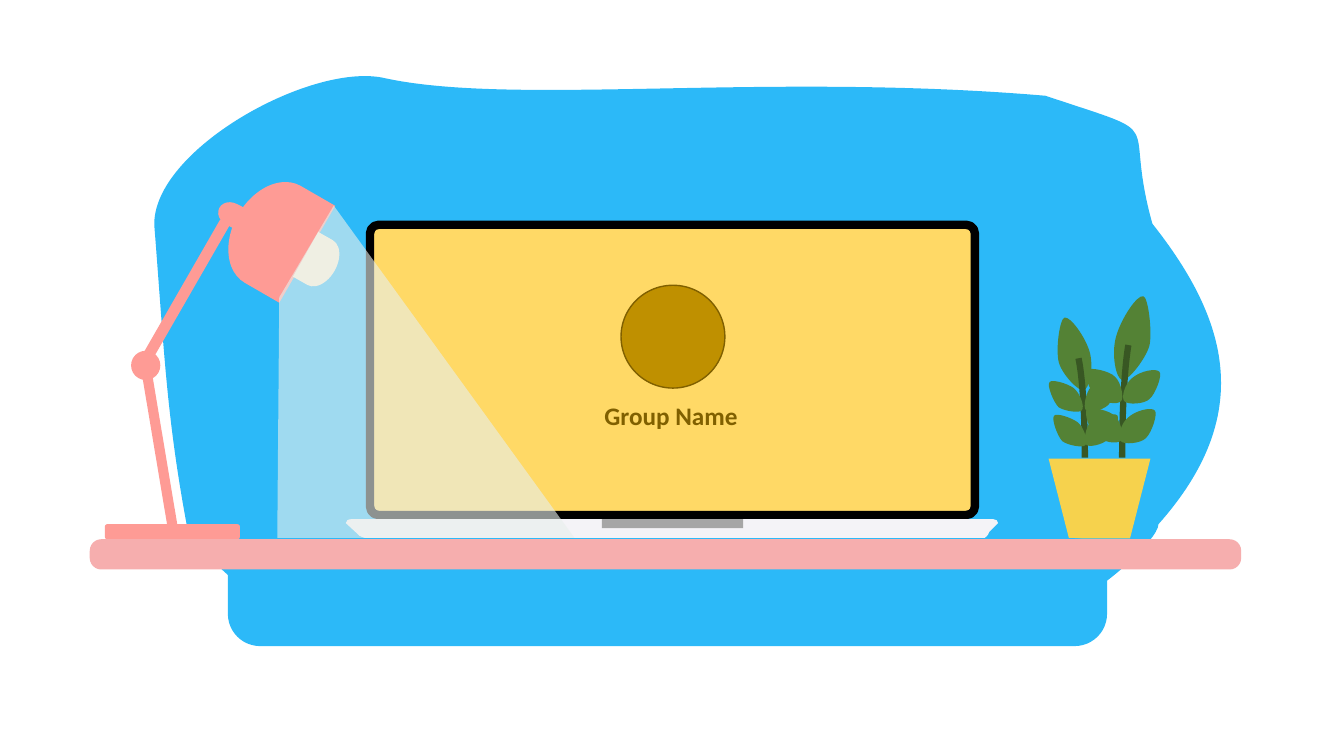
from math import cos, radians, sin

from lxml import etree
from pptx import Presentation
from pptx.dml.color import RGBColor
from pptx.enum.shapes import MSO_SHAPE as Preset
from pptx.enum.text import MSO_AUTO_SIZE as AutoSize, PP_ALIGN as Align
from pptx.oxml.ns import qn
from pptx.util import Inches, Pt

WHITE = RGBColor(0xFF, 0xFF, 0xFF)
SKY = RGBColor(0x2C, 0xB9, 0xF8)
SCREEN = RGBColor(0xFF, 0xD9, 0x66)
BLACK = RGBColor(0x00, 0x00, 0x00)
LAPTOP = RGBColor(0xF4, 0xF3, 0xF7)
NOTCH = RGBColor(0xA6, 0xA6, 0xA6)
LEAF = RGBColor(0x54, 0x82, 0x35)
STEM = RGBColor(0x38, 0x57, 0x23)
POT = RGBColor(0xF6, 0xD2, 0x4D)
CORAL = RGBColor(0xFE, 0x9B, 0x95)
BULB = RGBColor(0xFC, 0xF1, 0xD7)
LIGHT = RGBColor(0xE8, 0xEF, 0xEC)
GOLD = RGBColor(0xBF, 0x90, 0x00)
BROWN = RGBColor(0x80, 0x60, 0x00)
DESK = RGBColor(0xF6, 0xAE, 0xAE)

GROUP_LABEL = "Group Name"

BLOB = [
    (1.53, 2.23),
    (1.52, 1.49, 3.06, 0.63, 3.79, 0.77),
    (5.08, 1.06, 7.55, 0.71, 10.37, 0.95),
    (11.65, 1.38, 11.12, 1.11, 11.43, 2.22),
    (12.19, 3.18, 12.45, 4.12, 11.49, 5.2),
    (11.49, 5.36, 10.86, 5.91, 10.71, 5.91),
    (2.64, 5.91),
    (2.49, 5.91, 2.17, 5.69, 1.86, 5.25),
    (1.65, 4.13, 1.63, 3.49, 1.53, 2.23),
]
LAPTOP_BASE = [
    (3.43, 5.19),
    (3.43, 5.17, 3.45, 5.15, 3.49, 5.15),
    (9.85, 5.15),
    (9.88, 5.15, 9.9, 5.17, 9.9, 5.19),
    (9.81, 5.28),
    (9.81, 5.3, 9.77, 5.35, 9.73, 5.35),
    (3.68, 5.35),
    (3.65, 5.35, 3.55, 5.32, 3.55, 5.3),
    (3.43, 5.19),
]
BEAM = [(2.77, 2.95), (3.31, 2.04), (5.7, 5.34), (2.75, 5.34), (2.77, 2.95)]

SPRIGS = [
    {
        "tip": ([(10.5, 3.59), (10.47, 3.46, 10.51, 3.16, 10.56, 3.15),
                 (10.62, 3.14, 10.77, 3.35, 10.81, 3.5),
                 (10.85, 3.66, 10.8, 3.86, 10.75, 3.87),
                 (10.7, 3.89, 10.53, 3.71, 10.5, 3.59)], (10.49, 3.14, 0.32, 0.75), 345.2),
        "stem": (10.54, 3.45, 0.22, 2.18),
        "sweep": (163.64, 0),
        "side_leaves": [
            ([(10.82, 3.84), (10.87, 3.8, 11.05, 3.75, 11.08, 3.78),
              (11.11, 3.81, 11.05, 3.95, 10.99, 4.02),
              (10.92, 4.08, 10.79, 4.1, 10.77, 4.07),
              (10.74, 4.04, 10.77, 3.89, 10.82, 3.84)], (10.8, 3.7, 0.24, 0.43), 46.5, (0, 0.34), 0),
            ([(10.5, 4.04), (10.45, 3.99, 10.38, 3.82, 10.41, 3.79),
              (10.43, 3.76, 10.58, 3.8, 10.65, 3.85),
              (10.72, 3.91, 10.76, 4.04, 10.73, 4.07),
              (10.71, 4.1, 10.56, 4.08, 10.5, 4.04)], (10.45, 3.72, 0.24, 0.43), 309.5, (0.04, 0.34), 2.2),
        ],
    },
    {
        "tip": ([(11.4, 3.43), (11.43, 3.3, 11.39, 2.95, 11.34, 2.94),
                 (11.28, 2.92, 11.12, 3.16, 11.07, 3.34),
                 (11.02, 3.52, 11.07, 3.76, 11.13, 3.77),
                 (11.18, 3.79, 11.36, 3.57, 11.4, 3.43)], (11.07, 2.92, 0.34, 0.86), 14.8),
        "stem": (11.13, 3.28, 0.23, 2.52),
        "sweep": (108, 160.36),
        "side_leaves": [
            ([(11.06, 3.74), (11.01, 3.68, 10.81, 3.64, 10.78, 3.67),
              (10.75, 3.71, 10.8, 3.87, 10.87, 3.93),
              (10.94, 4, 11.08, 4.02, 11.12, 3.98),
              (11.15, 3.95, 11.12, 3.79, 11.06, 3.74)], (10.82, 3.59, 0.27, 0.46), 313.5, (0, 0.39), 0),
            ([(11.4, 3.96), (11.46, 3.91, 11.53, 3.72, 11.5, 3.69),
              (11.47, 3.65, 11.31, 3.68, 11.23, 3.75),
              (11.15, 3.81, 11.12, 3.95, 11.15, 3.98),
              (11.18, 4.02, 11.35, 4.01, 11.4, 3.96)], (11.19, 3.61, 0.27, 0.46), 50.5, (-0.04, 0.39), -2.2),
        ],
    },
]

LAMP_PARTS = [
    (Preset.ROUNDED_RECTANGLE, (1.04, 5.2, 1.34, 0.15), 0, CORAL),
    (Preset.ROUNDED_RECTANGLE, (0.76, 4.42, 1.65, 0.1), 80.5, CORAL),
    (Preset.OVAL, (1.3, 3.48, 0.29, 0.29), 0, CORAL),
    (Preset.ROUNDED_RECTANGLE, (1.03, 2.84, 1.61, 0.11), 119.9, CORAL),
    (Preset.FLOWCHART_DELAY, (2.16, 2.01, 0.27, 0.23), 206.9, CORAL),
    (Preset.FLOWCHART_DELAY, (2.31, 1.77, 0.79, 1.11), 210, CORAL),
    (Preset.FLOWCHART_DELAY, (3.01, 2.35, 0.33, 0.51), 29.6, BULB),
]


def paint(shape, fill=None, line=None, width=1):
    shape.shadow.inherit = False
    if fill is None:
        shape.fill.background()
    else:
        shape.fill.solid()
        shape.fill.fore_color.rgb = fill
    if line is None:
        shape.line.fill.background()
    else:
        shape.line.color.rgb = line
        shape.line.width = Pt(width)
    return shape


def add_preset(canvas, kind, box, fill=None, turn=0, adjust=(), **outline):
    shape = canvas.add_shape(kind, *map(Inches, box))
    shape.rotation = turn
    for index, value in enumerate(adjust):
        shape.adjustments[index] = value
    return paint(shape, fill, **outline)


def to_local(x, y, box, turn):
    left, top, width, height = box
    dx, dy = x - left - width / 2, y - top - height / 2
    c, s = cos(radians(turn)), sin(radians(turn))
    return Inches(width / 2 + dx * c + dy * s), Inches(height / 2 - dx * s + dy * c)


def add_outline(canvas, outline, box, fill, turn=0, shift=(0, 0), twist=0):
    points = [to_local(*segment[i:i + 2], box, turn)
              for segment in outline for i in range(0, len(segment), 2)]
    builder = canvas.build_freeform(*points[0])
    builder.add_line_segments(points[1:], close=True)
    shape = builder.convert_to_shape()
    left, top, width, height = box
    shape.left, shape.top = Inches(left + shift[0]), Inches(top + shift[1])
    shape.width, shape.height = Inches(width), Inches(height)
    shape.rotation = turn + twist

    track = next(shape._element.iter(qn("a:path")))
    track.set("w", str(shape.width))
    track.set("h", str(shape.height))
    for node, (x, y) in zip(track.iter(qn("a:pt")), points):
        node.set("x", str(x))
        node.set("y", str(y))
    steps = iter(track.findall(qn("a:lnTo")))
    for segment in outline[1:]:
        strokes = [next(steps) for _ in range(len(segment) // 2)]
        if len(strokes) == 3:
            curve = etree.Element(qn("a:cubicBezTo"))
            strokes[0].addprevious(curve)
            for stroke in strokes:
                curve.append(stroke[0])
                track.remove(stroke)
    return paint(shape, fill)


def add_text(canvas, text, box, size=18, color=BLACK, bold=False, font="Calibri"):
    label = canvas.add_textbox(*map(Inches, box))
    label.text_frame.word_wrap = True
    label.text_frame.auto_size = AutoSize.SHAPE_TO_FIT_TEXT
    para = label.text_frame.paragraphs[0]
    para.alignment = Align.CENTER
    span = para.add_run()
    span.text = text
    span.font.name, span.font.size, span.font.bold = font, Pt(size), bold
    span.font.color.rgb = color


def add_plant(canvas):
    for sprig in SPRIGS:
        outline, box, turn = sprig["tip"]
        add_outline(canvas, outline, box, LEAF, turn=turn)
        add_preset(canvas, Preset.ARC, sprig["stem"], adjust=sprig["sweep"], line=STEM, width=4.5)
        for tier in (0, 1):
            for outline, box, turn, (dx, dy), twist in sprig["side_leaves"]:
                add_outline(canvas, outline, box, LEAF, turn=turn,
                            shift=(dx * tier, dy * tier), twist=twist * tier)
    add_preset(canvas, Preset.FLOWCHART_MANUAL_OPERATION, (10.4, 4.55, 1.01, 0.79), POT)


def main():
    deck = Presentation()
    deck.slide_width, deck.slide_height = Inches(13.33), Inches(7.5)
    page = deck.slides.add_slide(deck.slide_layouts[6])
    canvas = page.shapes

    add_outline(canvas, BLOB, (1.53, 0.75, 10.58, 5.15), SKY)
    add_preset(canvas, Preset.ROUNDED_RECTANGLE, (3.67, 2.23, 6, 2.88), SCREEN,
               adjust=[0.03], line=BLACK, width=6)
    add_outline(canvas, LAPTOP_BASE, (3.43, 5.15, 6.47, 0.2), LAPTOP)
    add_preset(canvas, Preset.ROUNDED_RECTANGLE, (5.97, 5.15, 1.4, 0.09), NOTCH, adjust=[0])

    add_plant(canvas.add_group_shape().shapes)
    lamp = canvas.add_group_shape().shapes
    for kind, box, turn, color in LAMP_PARTS:
        add_preset(lamp, kind, box, color, turn=turn)
    beam = add_outline(canvas, BEAM, (2.75, 2.04, 2.95, 3.3), LIGHT)
    tint = beam._element.spPr.find(qn("a:solidFill")).find(qn("a:srgbClr"))
    etree.SubElement(tint, qn("a:alpha")).set("val", "61000")
    add_preset(canvas, Preset.RECTANGLE, (2.14, 6.18, 9.92, 1.96), WHITE)

    badge = canvas.add_group_shape().shapes
    add_preset(badge, Preset.OVAL, (6.16, 2.83, 1.03, 1.02), GOLD, line=BROWN)
    add_text(badge, GROUP_LABEL, (5.73, 3.92, 1.85, 0.4), color=BROWN, bold=True)

    add_preset(canvas, Preset.ROUNDED_RECTANGLE, (2.26, 5.34, 8.72, 1.07), SKY, adjust=[0.3])
    add_preset(canvas, Preset.ROUNDED_RECTANGLE, (0.89, 5.35, 11.42, 0.3), DESK, adjust=[0.38])
    deck.save("out.pptx")


if __name__ == "__main__":
    main()
